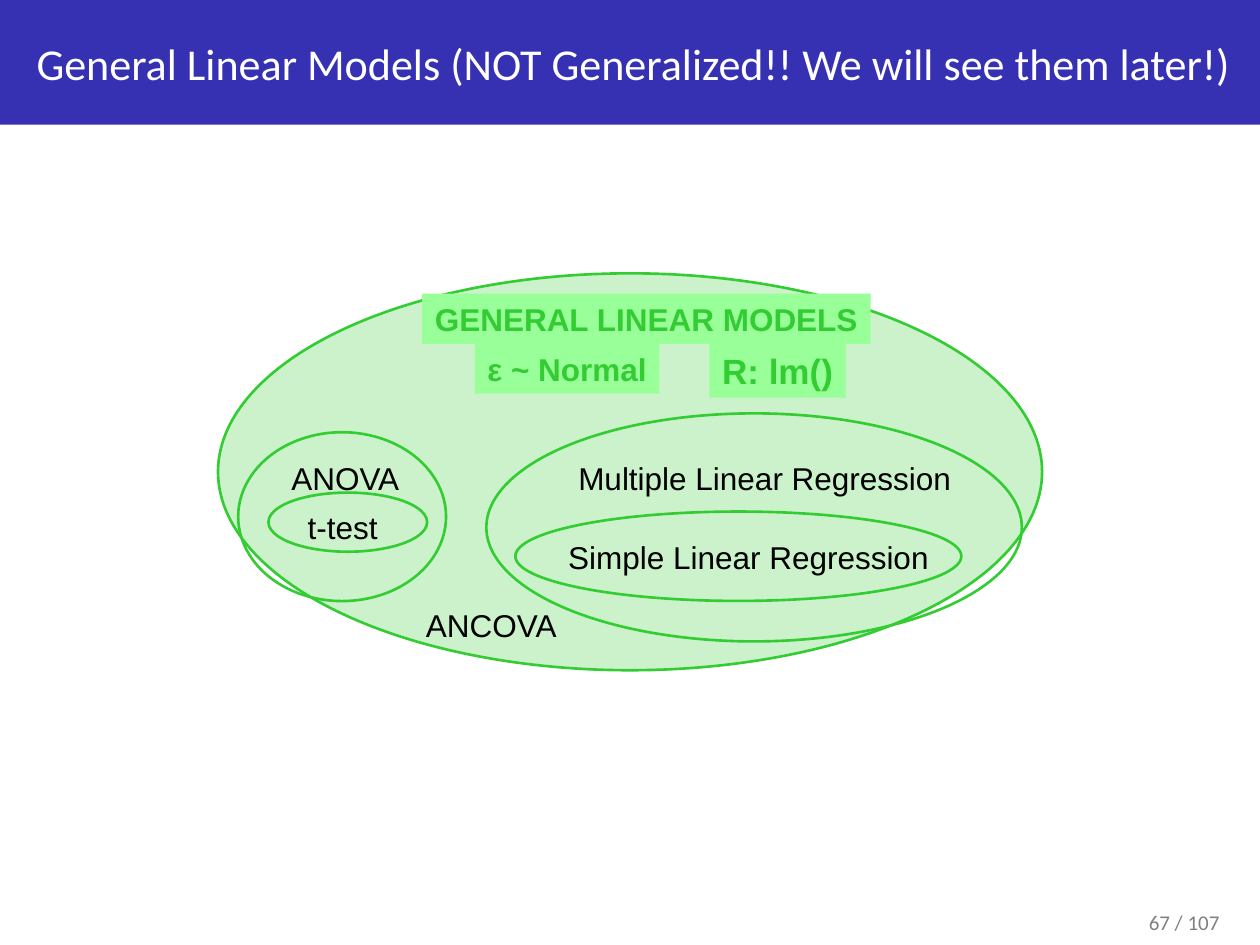
from lxml import etree
from pptx import Presentation
from pptx.dml.color import RGBColor
from pptx.enum import shapes, text
from pptx.oxml import ns
from pptx.util import Pt

GREEN, PALE, BLUE = "33CC33", "99FF99", "3630B2"
WHITE, BLACK, GREY = "FFFFFF", "000000", "808080"

TITLE = "General Linear Models (NOT Generalized!! We will see them later!)"
PAGE = "67 / 107"

# left, top, width, height
OUTER = (124.6, 156.2, 470.9, 226.8)
INNER = [
    (153.4, 281.5, 90.7, 33.8),    # t-test
    (294.5, 292.3, 254.9, 51.1),   # simple regression
    (136.1, 247, 118.8, 96.5),     # ANOVA
    (277.9, 236.2, 306, 130.3),    # multiple regression
]
# text, left, top, width
LABELS = [
    ("t-test", 144.7, 286.6, 102.2),
    ("ANOVA", 158.4, 258.5, 77.8),
    ("Simple Linear Regression", 317.5, 303.8, 220.3),
    ("Multiple Linear Regression", 323.3, 258.5, 227.5),
    ("ANCOVA", 235.4, 342.7, 90.7),
]
# text, left, top, width, height, font size
TAGS = [
    ("GENERAL LINEAR MODELS", 241.2, 167.8, 256.3, 28.8, 18),
    ("ε ~ Normal", 271.4, 196.2, 105.4, 28.8, 18),
    ("R: lm()", 405.4, 196.2, 77.8, 31, 20),
]


def rgb(color):
    return RGBColor.from_string(color)


def add_shape(parent, kind, box, fill=None, line=None, alpha=None):
    """Add a preset shape; alpha is the fill's opacity in percent."""
    sp = parent.add_shape(kind, *map(Pt, box))
    sp.shadow.inherit = False
    if fill:
        sp.fill.solid()
        sp.fill.fore_color.rgb = rgb(fill)
    else:
        sp.fill.background()
    if alpha:
        clr = sp.fill._xPr.find(".//" + ns.qn("a:srgbClr"))
        etree.SubElement(clr, ns.qn("a:alpha"), val=str(alpha * 1000))
    if line:
        sp.line.color.rgb = rgb(line)
        sp.line.width = Pt(1.5)
    else:
        sp.line.fill.background()
    return sp


def write(sp, content, size, color, font="Arial", bold=False,
          align=text.PP_ALIGN.CENTER, anchor=text.MSO_ANCHOR.TOP, wrap=False):
    tf = sp.text_frame
    tf.word_wrap = wrap
    tf.vertical_anchor = anchor
    p = tf.paragraphs[0]
    p.alignment = align
    r = p.add_run()
    r.text = content
    r.font.name, r.font.size, r.font.bold = font, Pt(size), bold
    r.font.color.rgb = rgb(color)


def main():
    prs = Presentation()
    prs.slide_width, prs.slide_height = Pt(720), Pt(540)
    s = prs.slides.add_slide(prs.slide_layouts[6])
    rect, oval = shapes.MSO_SHAPE.RECTANGLE, shapes.MSO_SHAPE.OVAL
    left = text.PP_ALIGN.LEFT

    number = s.shapes.add_textbox(Pt(649.4), Pt(516.2), Pt(67.7), Pt(21.6))
    write(number, PAGE, 12, GREY, "Calibri", align=left)

    title = add_shape(s.shapes, rect, (0, 0, 720, 71.3), BLUE)
    write(title, TITLE, 25.2, WHITE, "Calibri", align=left,
          anchor=text.MSO_ANCHOR.MIDDLE, wrap=True)
    title.text_frame.margin_left = Pt(20.9)
    title.text_frame.margin_right = 0

    diagram = s.shapes.add_group_shape().shapes
    add_shape(diagram, oval, OUTER, GREEN, GREEN, alpha=25)
    for box in INNER:
        add_shape(diagram, oval, box, line=GREEN)
    for content, x, y, w in LABELS:
        label = diagram.add_textbox(Pt(x), Pt(y), Pt(w), Pt(28.8))
        write(label, content, 18, BLACK)
    for content, *box, size in TAGS:
        write(add_shape(diagram, rect, box, PALE), content, size, GREEN, bold=True)

    prs.save("out.pptx")


if __name__ == "__main__":
    main()
